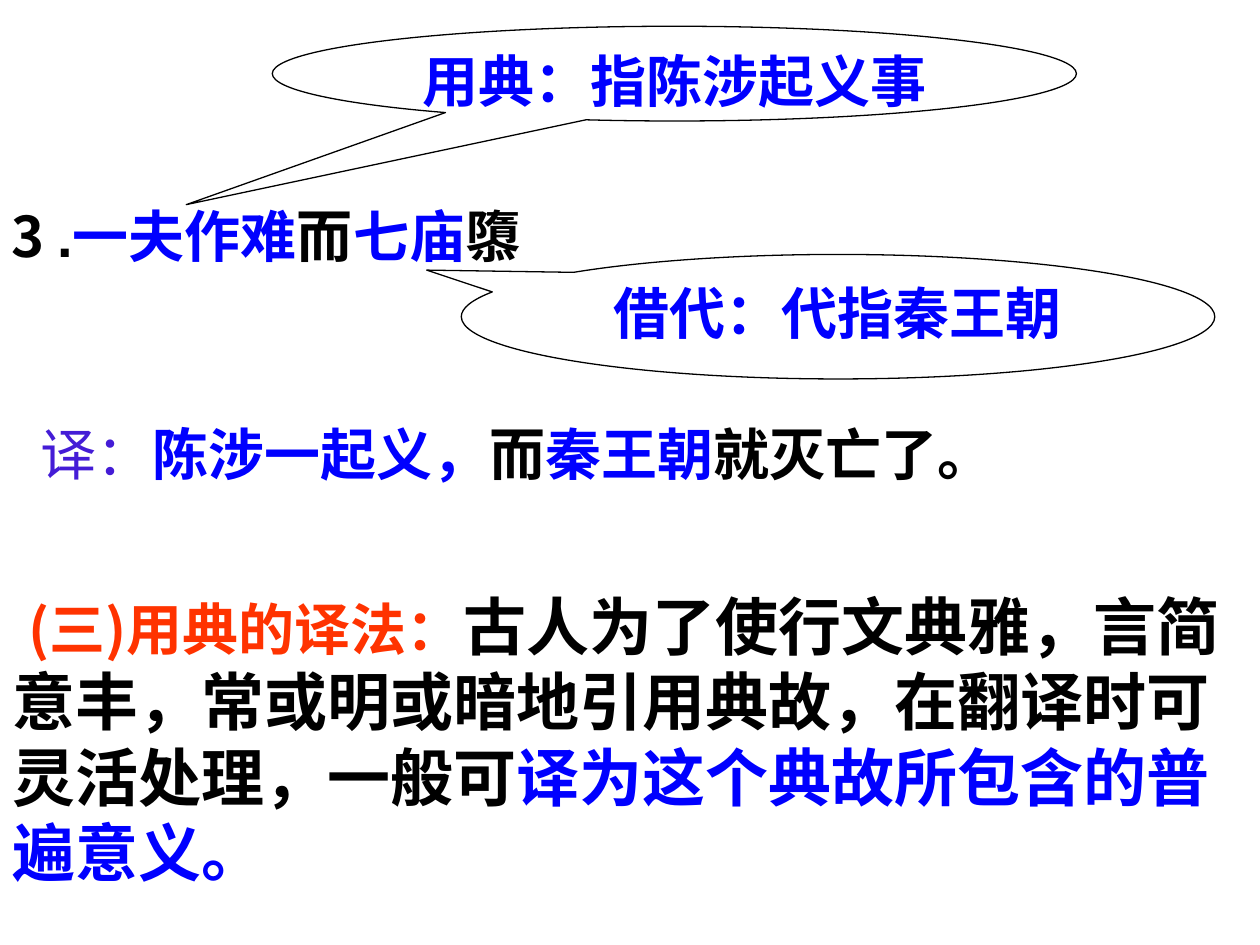
"""Build a slide on translating allusions in classical Chinese."""
from lxml.etree import SubElement
from pptx import Presentation
from pptx.dml.color import RGBColor
from pptx.enum.shapes import MSO_SHAPE
from pptx.enum.text import MSO_ANCHOR, MSO_AUTO_SIZE, PP_ALIGN
from pptx.oxml.ns import qn
from pptx.util import Cm, Pt

BLACK = RGBColor(0x00, 0x00, 0x00)
WHITE = RGBColor(0xFF, 0xFF, 0xFF)
BLUE = RGBColor(0x00, 0x00, 0xFF)
VIOLET = RGBColor(0x44, 0x1C, 0xD6)
RED = RGBColor(0xFF, 0x33, 0x00)
ARIAL = "Arial"
TIMES = "Times New Roman"
SANS_SC = "Noto Sans CJK SC"
SANS_JP = "Noto Sans CJK JP"


def style_run(run, size, font_name, color, bold=True):
    run.font.size = Pt(size)
    run.font.name = font_name
    run.font.bold = bold
    run.font.color.rgb = color
    SubElement(run.font._element, qn("a:ea"), typeface=SANS_SC)


presentation = Presentation()
presentation.slide_width = Cm(25.4)
presentation.slide_height = Cm(19.05)
slide = presentation.slides.add_slide(presentation.slide_layouts[6])

passages = [
    ((0, 8.33, 24.89, 1.63), True, PP_ALIGN.JUSTIFY, 0.57, 38.4, [
        ("译：", 32, ARIAL, VIOLET, False),
        ("陈涉一起义，", 32, ARIAL, BLUE),
        ("而", 32, ARIAL, BLACK),
        ("秦王朝", 32, ARIAL, BLUE),
        ("就灭亡了。", 32, ARIAL, BLACK),
    ]),
    ((-0.02, 3.94, 11.07, 1.63), False, PP_ALIGN.LEFT, 0, 38.4, [
        ("3 ", 32, SANS_SC, BLACK),
        (".", 32, ARIAL, BLACK),
        ("一夫作难", 32, SANS_SC, BLUE),
        ("而", 32, SANS_SC, BLACK),
        ("七庙", 32, SANS_SC, BLUE),
        ("隳", 32, SANS_SC, BLACK),
    ]),
    ((0, 11.73, 24.89, 6.35), True, PP_ALIGN.LEFT, 0.32, 43, [
        ("(三)用典的译法：", 32, SANS_JP, RED),
        ("古人为了使行文典雅，言简意丰，常或明或暗地引用典故，在翻译时可灵活处理，一般可",
         36, TIMES, BLACK),
        ("译为这个典故所包含的普遍意义。", 36, TIMES, BLUE),
    ]),
]
for place, wraps, alignment, indent, line_height, parts in passages:
    passage = slide.shapes.add_textbox(*map(Cm, place)).text_frame
    passage.word_wrap = wraps
    passage.auto_size = MSO_AUTO_SIZE.SHAPE_TO_FIT_TEXT
    sentence = passage.paragraphs[0]
    sentence.alignment = alignment
    sentence.line_spacing = Pt(line_height)
    sentence._p.get_or_add_pPr().set("indent", str(Cm(indent)))
    for words, *style in parts:
        run = sentence.add_run()
        run.text = words
        style_run(run, *style)

notes_on_words = [
    ("用典：指陈涉起义事", TIMES, (5.49, 0.53, 16.21, 1.91), (-0.607, 1.383)),
    ("借代：代指秦王朝", ARIAL, (9.3, 5.13, 15.19, 2.51), (-0.546, -0.374)),
]
for words, font_name, place, pointer in notes_on_words:
    callout = slide.shapes.add_shape(MSO_SHAPE.OVAL_CALLOUT, *map(Cm, place))
    callout.adjustments[0], callout.adjustments[1] = pointer
    callout.shadow.inherit = False
    callout.fill.solid()
    callout.fill.fore_color.rgb = WHITE
    callout.line.color.rgb = BLACK
    callout.line.width = Pt(0.75)
    callout.text_frame.text = words
    callout.text_frame.word_wrap = True
    callout.text_frame.vertical_anchor = MSO_ANCHOR.TOP
    explanation = callout.text_frame.paragraphs[0]
    explanation.alignment = PP_ALIGN.CENTER
    explanation.line_spacing = Pt(38.4)
    style_run(explanation.runs[0], 32, font_name, BLUE)

presentation.save("out.pptx")
